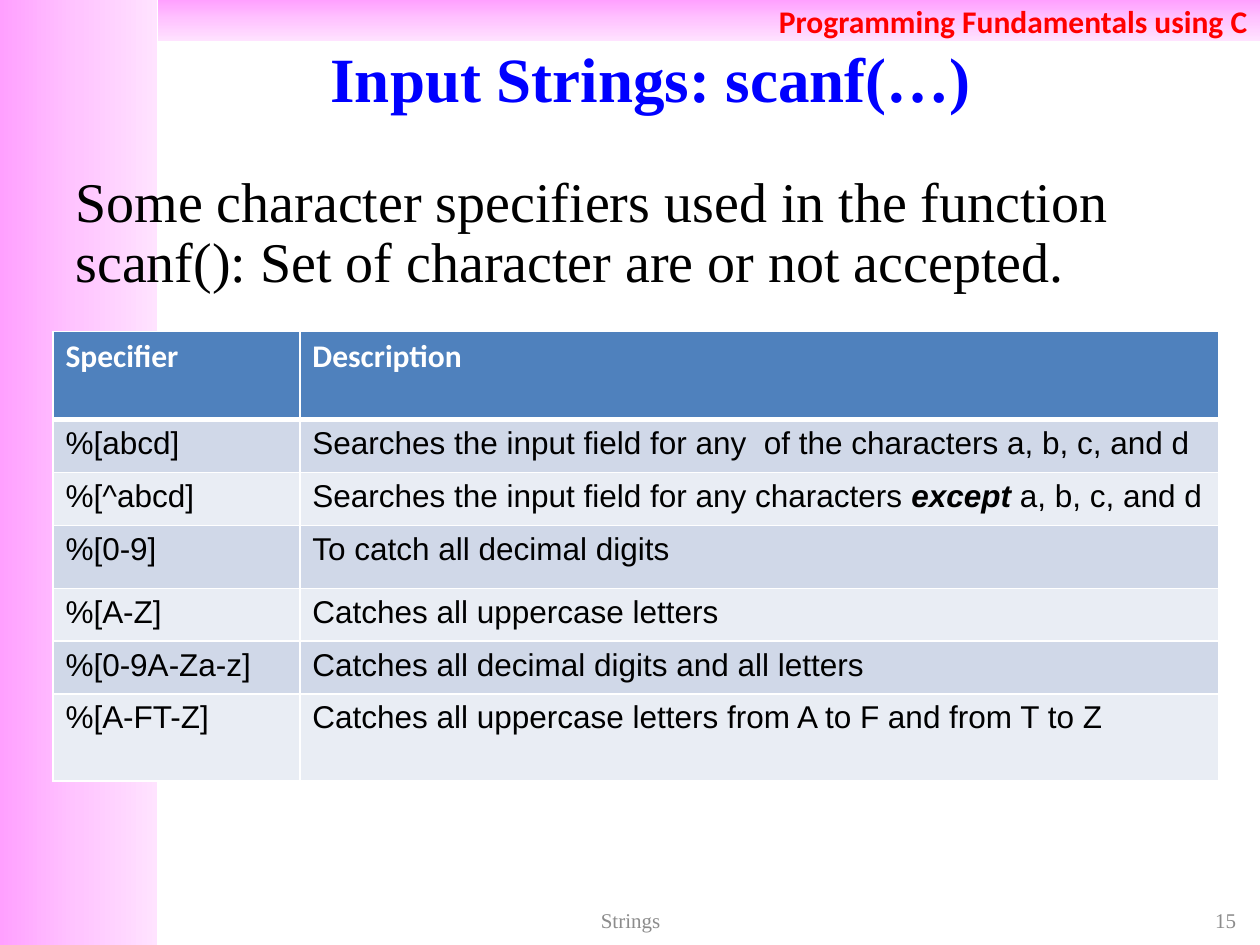
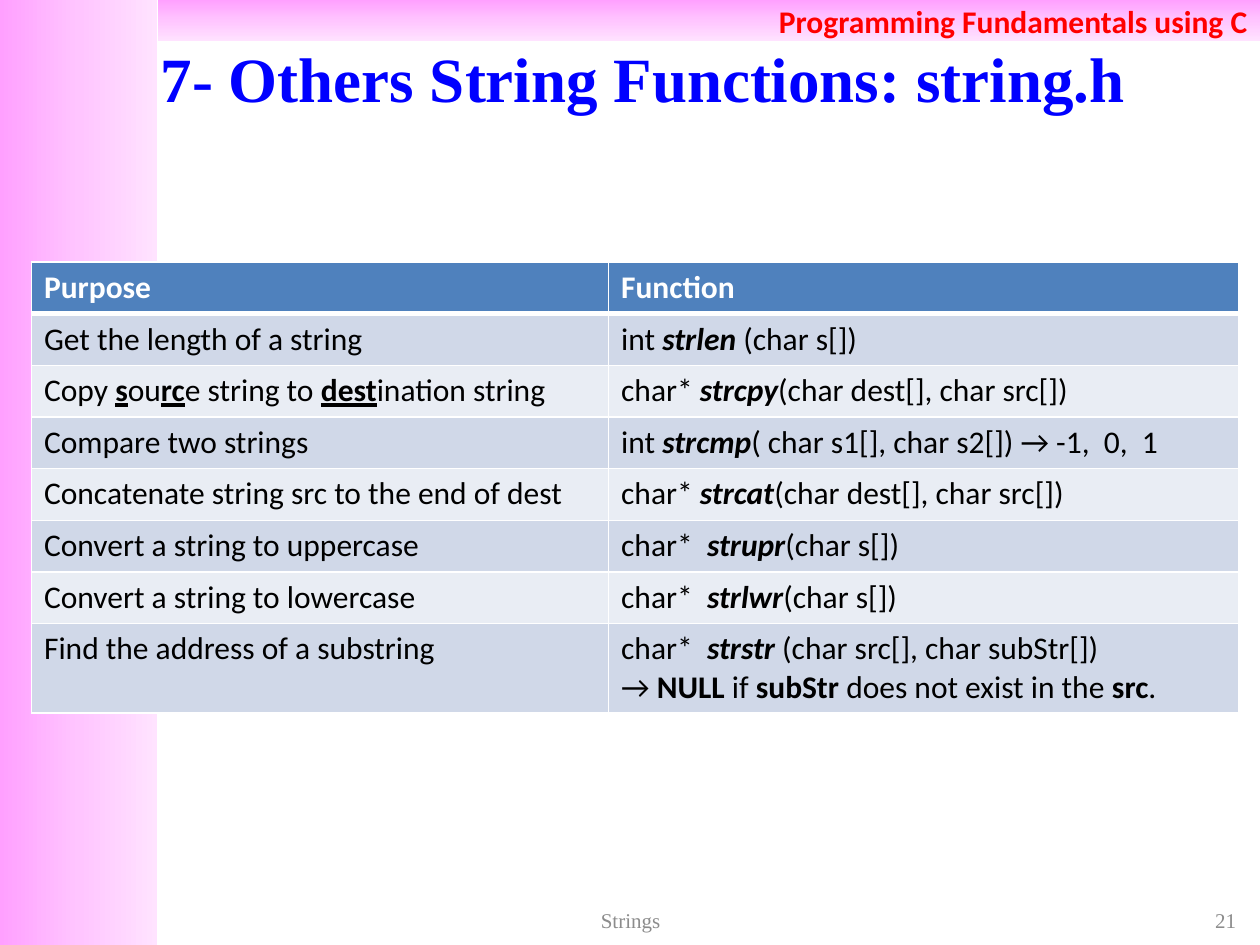
from copy import deepcopy
from dataclasses import dataclass
from typing import NamedTuple

from pptx import Presentation
from pptx.dml.color import RGBColor
from pptx.enum.shapes import MSO_SHAPE
from pptx.enum.text import MSO_ANCHOR, MSO_AUTO_SIZE, PP_ALIGN
from pptx.oxml import parse_xml
from pptx.oxml.ns import nsdecls, qn
from pptx.util import Inches, Pt

RECTANGLE = MSO_SHAPE.RECTANGLE
TOP, MIDDLE = MSO_ANCHOR.TOP, MSO_ANCHOR.MIDDLE
NO_AUTOFIT = MSO_AUTO_SIZE.NONE
LEFT, CENTER, RIGHT = PP_ALIGN.LEFT, PP_ALIGN.CENTER, PP_ALIGN.RIGHT
TITLE_ONLY = 5


class Style(NamedTuple):
    font: str
    size: float
    color: str
    bold: bool = False


class Area(NamedTuple):
    left: float
    top: float
    width: float
    height: float


class Span(NamedTuple):
    text: str
    bold: bool = False
    italic: bool = False
    underline: bool = False


@dataclass(frozen=True)
class Theme:
    title: Style = Style("Times New Roman", 36, "0000FF", True)
    course: Style = Style("Calibri", 18, "FF0000", True)
    body: Style = Style("Times New Roman", 32, "000000")
    footer: Style = Style("Times New Roman", 12, "8C8C8C")
    table_header: Style = Style("Calibri", 18, "FFFFFF", True)
    arial_cell: Style = Style("Arial", 18, "000000")
    calibri_cell: Style = Style("Calibri", 18, "000000")
    header_fill: str = "4F81BD"
    row_fills: tuple = ("D0D8E8", "E9EDF4")
    border: str = "FFFFFF"
    thin: float = 1
    thick: float = 3
    gradient: tuple = ((0, "FFA0FF"), (0.5, "FFC5FF"), (1, "FFE3FF"))


@dataclass(frozen=True)
class TableSpec:
    left: float
    top: float
    columns: tuple
    heights: tuple
    style: Style
    rows: tuple


@dataclass(frozen=True)
class Page:
    title: str
    number: int
    table: TableSpec
    intro: str = ""


THEME = Theme()
SIDE_BAND = Area(0, 0, 1.25, 7.5)
TOP_BAND = Area(1.25, 0, 8.75, 0.33)
TITLE_AREA = Area(0.83, 0.3, 8.67, 0.62)
INTRO_AREA = Area(0.5, 1.33, 9, 1.17)
NUMBER_AREA = Area(7.58, 7.17, 2.33, 0.27)
FOOTER_AREA = Area(3.42, 7.17, 3.17, 0.27)


def strong(text: str) -> Span:
    return Span(text, bold=True)


def name(text: str) -> Span:
    return Span(text, bold=True, italic=True)


def key(text: str) -> Span:
    return Span(text, bold=True, underline=True)


def signature(result: str, function: str, rest: str) -> list:
    return [[Span(result), name(function), Span(rest)]]


def inches(values: tuple) -> list:
    return [Inches(value) for value in values]


def format_run(run, style: Style) -> None:
    run.font.name = style.font
    run.font.size = Pt(style.size)
    run.font.bold = style.bold
    run.font.color.rgb = RGBColor.from_string(style.color)


def write_text(box, text: str, style: Style, align=LEFT, anchor=MIDDLE) -> None:
    frame = box.text_frame
    frame.text = text
    frame.word_wrap = True
    frame.auto_size = NO_AUTOFIT
    frame.vertical_anchor = anchor
    para = frame.paragraphs[0]
    para.alignment = align
    format_run(para.runs[0], style)


def add_text(slide, area: Area, text: str, style: Style, align=LEFT, anchor=MIDDLE):
    box = slide.shapes.add_textbox(*inches(area))
    write_text(box, text, style, align, anchor)
    return box


def add_band(slide, area: Area, angle: float):
    band = slide.shapes.add_shape(RECTANGLE, *inches(area))
    band.shadow.inherit = False
    band.line.fill.background()
    band.fill.gradient()
    band.fill.gradient_angle = angle
    stops = band.element.find(".//" + qn("a:gsLst"))
    stops.insert(1, deepcopy(stops[0]))
    for stop, (position, color) in zip(band.fill.gradient_stops, THEME.gradient):
        stop.position = position
        stop.color.rgb = RGBColor.from_string(color)
    return band


def move_to_layout(bands: list, layout) -> None:
    tree = layout.shapes.element
    for index, band in enumerate(bands):
        band.element.find(".//" + qn("p:cNvPr")).set("id", str(100 + index))
        tree.insert(2 + index, band.element)


def add_shared_bands(slide) -> None:
    side = add_band(slide, SIDE_BAND, 0)
    top = add_band(slide, TOP_BAND, 270)
    write_text(top, "Programming Fundamentals using C", THEME.course, RIGHT)
    move_to_layout([side, top], slide.slide_layout)


def set_borders(cell, top: float, bottom: float) -> None:
    properties = cell._tc.get_or_add_tcPr()
    widths = {"lnL": THEME.thin, "lnR": THEME.thin, "lnT": top, "lnB": bottom}
    for index, (side, width) in enumerate(widths.items()):
        properties.insert(index, parse_xml(
            f'<a:{side} {nsdecls("a")} w="{Pt(width)}"><a:solidFill>'
            f'<a:srgbClr val="{THEME.border}"/></a:solidFill></a:{side}>'))


def write_cell(cell, content, style: Style) -> None:
    lines = [[Span(content, style.bold)]] if isinstance(content, str) else content
    frame = cell.text_frame
    for index, spans in enumerate(lines):
        para = frame.paragraphs[0] if index == 0 else frame.add_paragraph()
        for span in spans:
            run = para.add_run()
            run.text = span.text
            format_run(run, style)
            run.font.bold = span.bold
            run.font.italic = span.italic
            run.font.underline = span.underline


def add_grid(slide, spec: TableSpec) -> None:
    area = Area(spec.left, spec.top, sum(spec.columns), sum(spec.heights))
    table = slide.shapes.add_table(
        len(spec.rows), len(spec.columns), *inches(area)).table
    for column, width in zip(table.columns, spec.columns):
        column.width = Inches(width)
    for index, (height, contents) in enumerate(zip(spec.heights, spec.rows)):
        table.rows[index].height = Inches(height)
        header = index == 0
        style = THEME.table_header if header else spec.style
        fill = THEME.header_fill if header else THEME.row_fills[(index - 1) % 2]
        top = THEME.thick if index == 1 else THEME.thin
        bottom = THEME.thick if header else THEME.thin
        for cell, content in zip(table.rows[index].cells, contents):
            cell.fill.solid()
            cell.fill.fore_color.rgb = RGBColor.from_string(fill)
            set_borders(cell, top, bottom)
            write_cell(cell, content, style)


def fill_slide(slide, page: Page) -> None:
    title = slide.shapes.title
    title.left, title.top, title.width, title.height = inches(TITLE_AREA)
    write_text(title, page.title, THEME.title, CENTER)
    if page.intro:
        intro = add_text(slide, INTRO_AREA, page.intro, THEME.body, anchor=TOP)
        para = intro.text_frame.paragraphs[0]
        para.line_spacing = 0.9
        para.space_before = Pt(THEME.body.size * 0.2)
    add_grid(slide, page.table)
    add_text(slide, NUMBER_AREA, str(page.number), THEME.footer, RIGHT)
    add_text(slide, FOOTER_AREA, "Strings", THEME.footer, CENTER)


SPECIFIERS = TableSpec(
    0.42, 2.63, (1.96, 7.29), (0.7, 0.42, 0.42, 0.5, 0.42, 0.42, 0.69),
    THEME.arial_cell, (
        ("Specifier", "Description"),
        ("%[abcd]", "Searches the input field for any  of the characters a, b, c, and d"),
        ("%[^abcd]", [[Span("Searches the input field for any characters "),
                       name("except"), Span(" a, b, c, and d")]]),
        ("%[0-9]", "To catch all decimal digits"),
        ("%[A-Z]", "Catches all uppercase letters"),
        ("%[0-9A-Za-z]", "Catches all decimal digits and all letters"),
        ("%[A-FT-Z]", "Catches all uppercase letters from A to F and from T to Z"),
    ))

FUNCTIONS = TableSpec(
    0.25, 2.08, (4.58, 5), (0.41,) * 7 + (0.71,),
    THEME.calibri_cell, (
        ("Purpose", "Function"),
        ("Get the length of a string", signature("int ", "strlen", " (char s[]) ")),
        ([[Span("Copy "), key("s"), Span("ou"), key("rc"), Span("e string to "),
           key("dest"), Span("ination string")]],
         signature("char* ", "strcpy", "(char dest[], char src[])")),
        ("Compare two strings ",
         signature("int ", "strcmp", "( char s1[], char s2[]) → -1,  0,  1")),
        ("Concatenate string src to the end of dest",
         signature("char* ", "strcat", "(char dest[], char src[])")),
        ("Convert a string to uppercase", signature("char*  ", "strupr", "(char s[]) ")),
        ("Convert a string to lowercase", signature("char*  ", "strlwr", "(char s[])")),
        ("Find the address of a substring",
         signature("char*  ", "strstr", " (char src[], char subStr[])")
         + [[Span("→ "), strong("NULL"), Span(" if "), strong("subStr"),
             Span(" does not exist in the "), strong("src"), Span(".")]]),
    ))

PAGES = (
    Page("Input Strings: scanf(…)", 15, SPECIFIERS,
         "Some character specifiers used in the function scanf(): "
         "Set of character are or not accepted."),
    Page("7- Others String Functions: string.h ", 21, FUNCTIONS),
)


def build_deck() -> None:
    deck = Presentation()
    deck.slide_width, deck.slide_height = Inches(10), Inches(7.5)
    layout = deck.slide_layouts[TITLE_ONLY]
    slides = [deck.slides.add_slide(layout) for _ in PAGES]
    add_shared_bands(slides[0])
    for slide, page in zip(slides, PAGES):
        fill_slide(slide, page)
    deck.save("out.pptx")


build_deck()
